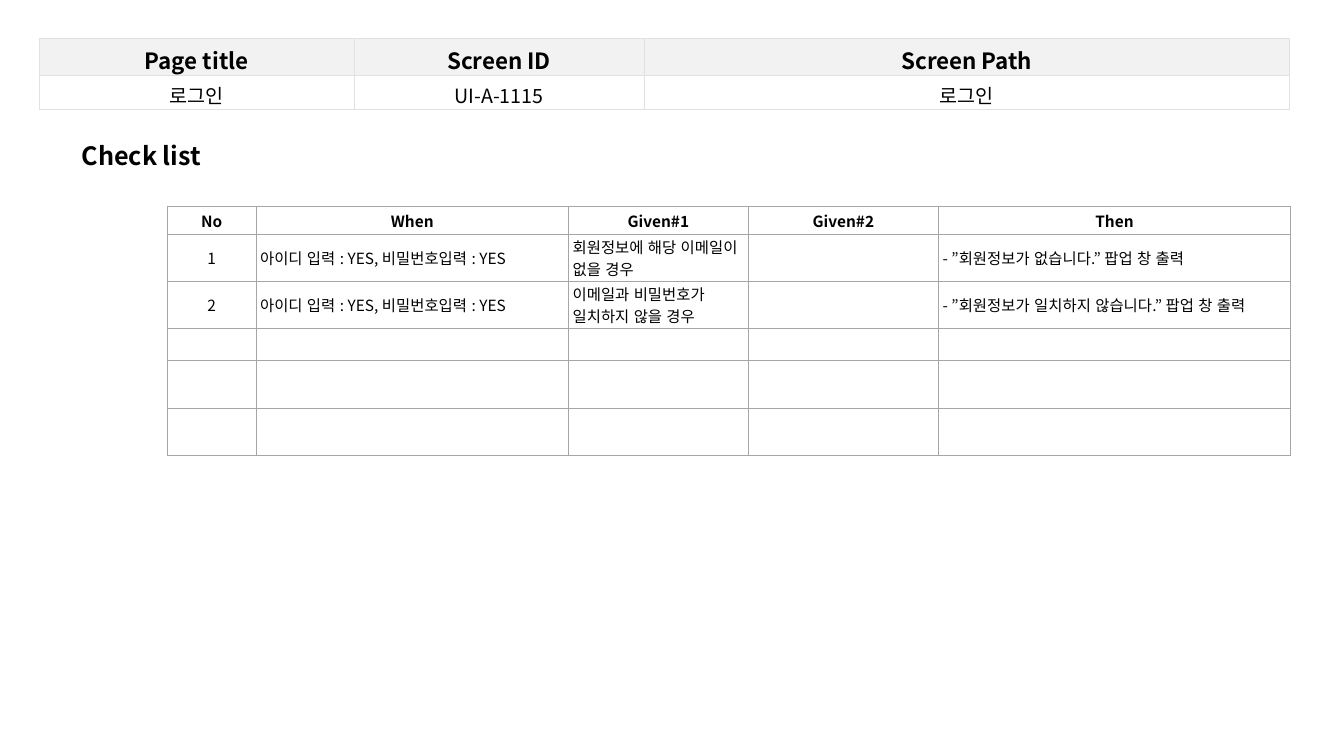
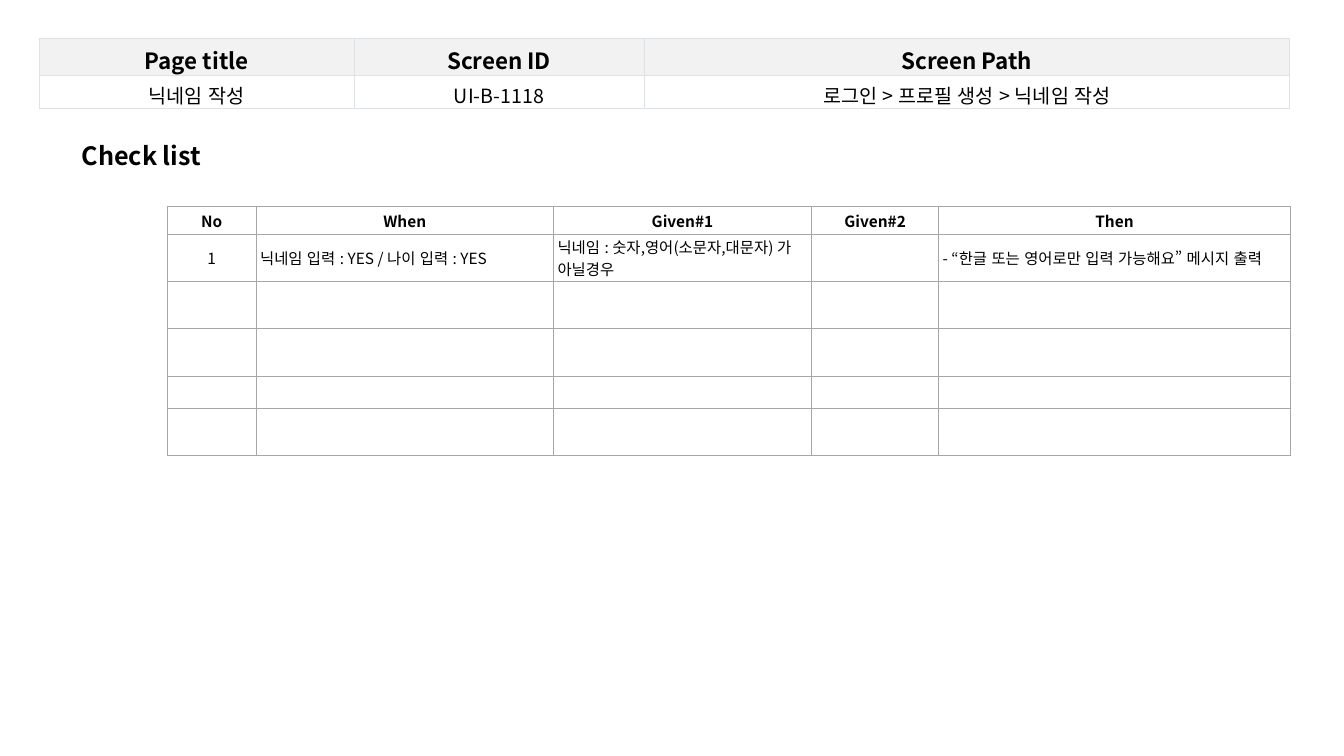
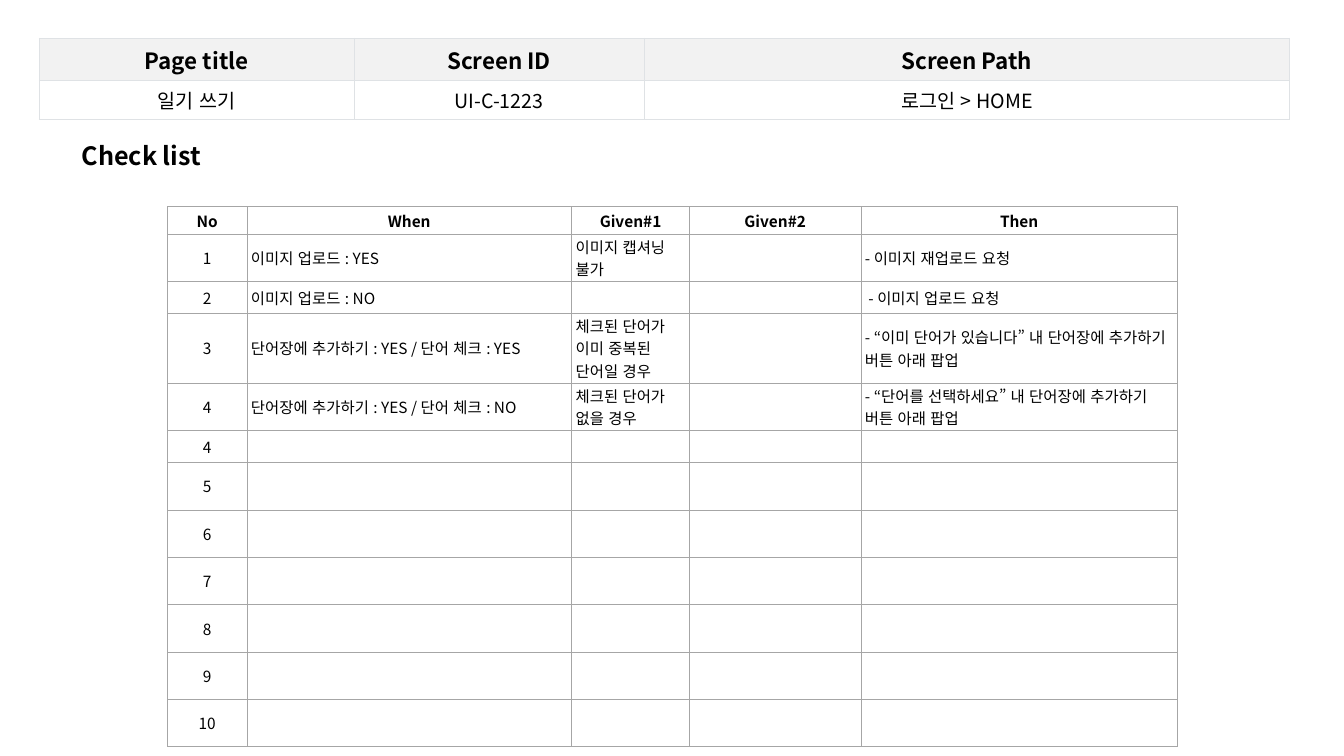
from dataclasses import dataclass

from lxml import etree
from pptx import Presentation
from pptx.dml.color import RGBColor
from pptx.enum.lang import MSO_LANGUAGE_ID
from pptx.enum.text import MSO_ANCHOR, MSO_AUTO_SIZE, PP_ALIGN
from pptx.oxml.ns import qn
from pptx.util import Inches, Pt

LEFT, CENTER = PP_ALIGN.LEFT, PP_ALIGN.CENTER
MIDDLE = MSO_ANCHOR.MIDDLE
FIT_SHAPE = MSO_AUTO_SIZE.SHAPE_TO_FIT_TEXT
KOREAN = MSO_LANGUAGE_ID.KOREAN


@dataclass(frozen=True)
class Theme:
    font: str = "Noto Sans CJK KR"
    text: str = "000000"
    paper: str = "FFFFFF"
    band: str = "F2F2F2"
    band_line: str = "DFE2E5"
    grid_line: str = "A6A6A6"
    band_line_pt: float = 0.6
    grid_line_pt: float = 0.5
    heading: int = 18
    band_head: int = 16
    band_body: int = 14
    body: int = 11


T = Theme()

# Content
HEADING = "Check list"
BAND_HEAD = ["Page title", "Screen ID", "Screen Path"]
CHECK_HEAD = ["No", "When", "Given#1", "Given#2", "Then"]
LOGIN = "아이디 입력 : YES, 비밀번호입력 : YES"

# Row heights: header, one line, two lines, three lines
HEAD, ONE, TWO, THREE = 0.27, 0.32, 0.47, 0.69

SCREENS = [
    {
        "band": ["로그인", "UI-A-1115", "로그인"],
        "band_rows": [0.37, 0.33], "band_bottom": 0,
        "cols": [0.88, 3.1, 1.78, 1.89, 3.49],
        "checks": [
            (TWO, "1", LOGIN, "회원정보에 해당 이메일이 없을 경우", "",
             "- ”회원정보가 없습니다.” 팝업 창 출력"),
            (TWO, "2", LOGIN, "이메일과 비밀번호가 일치하지 않을 경우", "",
             "- ”회원정보가 일치하지 않습니다.” 팝업 창 출력"),
            (ONE,), (TWO,), (TWO,),
        ],
    },
    {
        "band": ["닉네임 작성", "UI-B-1118", "로그인 > 프로필 생성 > 닉네임 작성"],
        "band_rows": [0.37, 0.33], "band_bottom": 0,
        "cols": [0.88, 2.95, 2.56, 1.26, 3.49],
        "checks": [
            (TWO, "1", "닉네임 입력 : YES / 나이 입력 : YES",
             "닉네임 : 숫자,영어(소문자,대문자) 가 아닐경우", "",
             "- “한글 또는 영어로만 입력 가능해요” 메시지 출력"),
            (TWO,), (TWO,), (ONE,), (TWO,),
        ],
    },
    {
        "band": ["일기 쓰기", "UI-C-1223", "로그인 > HOME"],
        "band_rows": [0.42, 0.38], "band_bottom": 0.05,
        "cols": [0.79, 3.22, 1.17, 1.7, 3.14],
        "checks": [
            (TWO, "1", "이미지 업로드 : YES", "이미지 캡셔닝 불가", "",
             "- 이미지 재업로드 요청"),
            (ONE, "2", "이미지 업로드 : NO", "", "", " - 이미지 업로드 요청"),
            (THREE, "3", "단어장에 추가하기 : YES / 단어 체크 : YES",
             "체크된 단어가 이미 중복된 단어일 경우", "",
             "- “이미 단어가 있습니다” 내 단어장에 추가하기 버튼 아래 팝업"),
            (TWO, "4", "단어장에 추가하기 : YES / 단어 체크 : NO",
             "체크된 단어가 없을 경우", "",
             "- “단어를 선택하세요” 내 단어장에 추가하기 버튼 아래 팝업"),
            (ONE, "4"),
            *[(TWO, str(n)) for n in range(5, 11)],
        ],
    },
]

# Layout
BAND_AT, BAND_COLS = (0.39, 0.38), [3.12, 2.88, 6.4]
CHECK_AT = (1.66, 2.05)
HEADING_BOX = (0.71, 1.34, 3.82, 0.4)


def write(p, text, size, bold=False, align=LEFT):
    p.alignment = align
    if not text:
        p._p.get_or_add_endParaRPr().set("sz", str(size * 100))
        return
    r = p.add_run()
    r.text = text
    f = r.font
    f.name, f.size, f.bold = T.font, Pt(size), bold
    f.language_id = KOREAN
    f.color.rgb = RGBColor.from_string(T.text)
    etree.SubElement(f._element, qn("a:ea"), typeface=T.font)


def add_borders(cell, color, width):
    tc_pr = cell._tc.get_or_add_tcPr()
    for side in ("a:lnL", "a:lnR", "a:lnT", "a:lnB"):
        ln = etree.SubElement(tc_pr, qn(side), w=str(Pt(width)))
        fill = etree.SubElement(ln, qn("a:solidFill"))
        etree.SubElement(fill, qn("a:srgbClr"), val=color)


def add_grid(s, at, cols, rows, line, style):
    """rows: (height, texts); style(row, col) gives size, bold, align, fill, insets."""
    size = (sum(cols), sum(height for height, _ in rows))
    table = s.shapes.add_table(len(rows), len(cols),
                               *map(Inches, at + size)).table
    for column, width in zip(table.columns, cols):
        column.width = Inches(width)
    for i, (height, texts) in enumerate(rows):
        table.rows[i].height = Inches(height)
        for j in range(len(cols)):
            cell = table.cell(i, j)
            pt, bold, align, fill, (side, top, bottom) = style(i, j)
            cell.margin_left = cell.margin_right = Inches(side)
            cell.margin_top, cell.margin_bottom = Inches(top), Inches(bottom)
            cell.vertical_anchor = MIDDLE
            add_borders(cell, *line)
            cell.fill.solid()
            cell.fill.fore_color.rgb = RGBColor.from_string(fill)
            write(cell.text_frame.paragraphs[0],
                  texts[j] if j < len(texts) else "", pt, bold, align)


def check_style(i, j):
    head = i == 0
    pad = 0.02 if head else 0.01
    align = CENTER if head or j == 0 else LEFT
    return T.body, head, align, T.paper, (0.04, pad, pad)


def add_band(s, screen):
    def style(i, j):
        pt, fill = ((T.band_head, T.band), (T.band_body, T.paper))[i]
        return pt, i == 0, CENTER, fill, (0.11, 0.05, screen["band_bottom"])

    rows = list(zip(screen["band_rows"], (BAND_HEAD, screen["band"])))
    add_grid(s, BAND_AT, BAND_COLS, rows, (T.band_line, T.band_line_pt), style)


def add_heading(s):
    tf = s.shapes.add_textbox(*map(Inches, HEADING_BOX)).text_frame
    tf.word_wrap = True
    tf.auto_size = FIT_SHAPE
    write(tf.paragraphs[0], HEADING, T.heading, bold=True)


def main():
    prs = Presentation()
    prs.slide_width, prs.slide_height = Inches(13.33), Inches(7.5)
    for screen in SCREENS:
        s = prs.slides.add_slide(prs.slide_layouts[6])
        add_band(s, screen)
        add_heading(s)
        rows = [(HEAD, CHECK_HEAD)]
        rows += [(height, texts) for height, *texts in screen["checks"]]
        add_grid(s, CHECK_AT, screen["cols"], rows,
                 (T.grid_line, T.grid_line_pt), check_style)
    prs.save("out.pptx")


if __name__ == "__main__":
    main()
